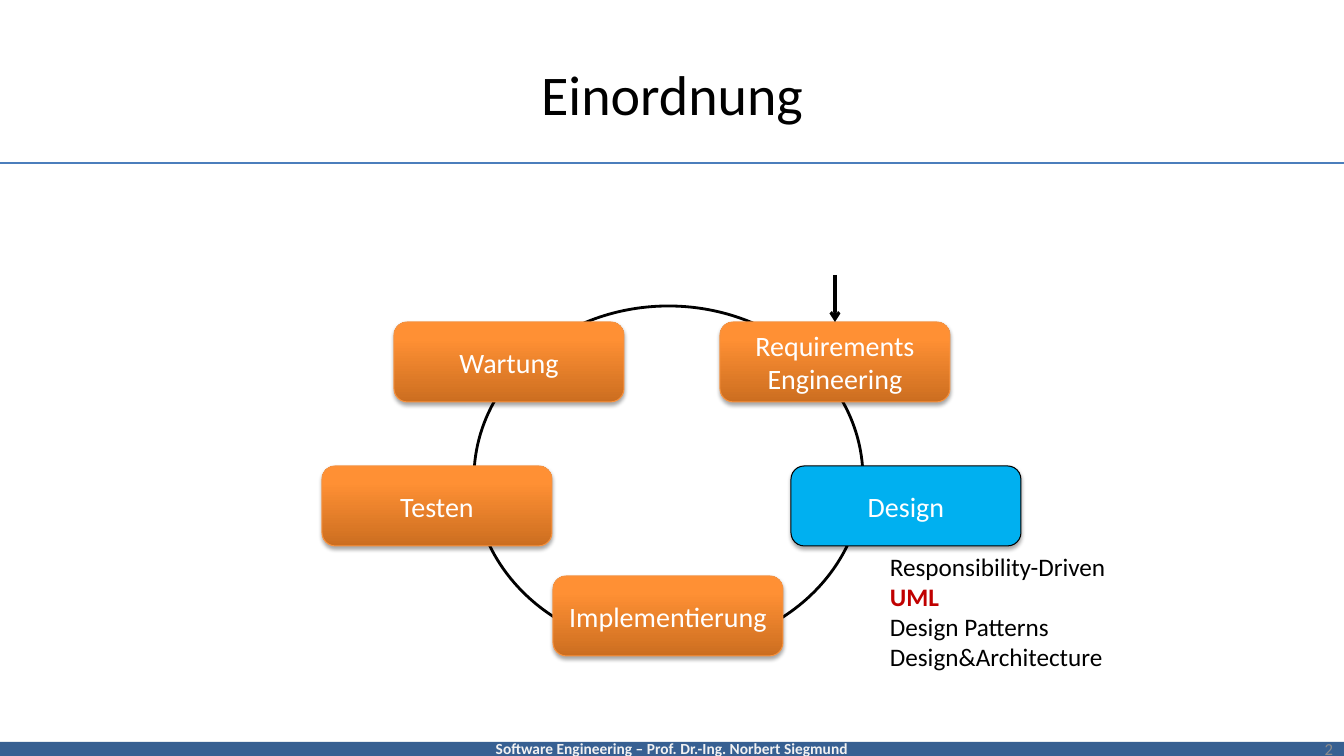
from dataclasses import dataclass

from lxml import etree
from pptx import Presentation
from pptx import util as u
from pptx.dml.color import RGBColor
from pptx.enum import shapes, text
from pptx.oxml import parse_xml
from pptx.oxml.ns import nsdecls, qn


@dataclass(frozen=True)
class Theme:
    font: str = "Calibri"
    black: str = "000000"
    white: str = "FFFFFF"
    bar: str = "376092"
    bar_text: str = "F2F2F2"
    rule: str = "4B7EBC"
    number: str = "8C8C8C"
    orange_edge: str = "F69240"
    orange: tuple = ((0, "CC6E20"), (80, "FF9034"), (100, "FF9136"))
    active: str = "00B0F0"
    accent: str = "C00000"
    title_size: int = 40
    phase_size: int = 20
    topic_size: int = 18
    number_size: int = 12
    bar_size: int = 11


T = Theme()
PX = u.Inches(1) / 100.8
ALIGN = text.PP_ALIGN


def px(*lengths):
    return [round(n * PX) for n in lengths]


def write(tf, content, size, color=T.black, bold=False, align=ALIGN.LEFT,
          anchor=text.MSO_ANCHOR.MIDDLE, wrap=True, spacing=None, highlight=None):
    """Fill a text frame, one paragraph a line; the highlighted line is bold and accented."""
    tf.word_wrap = wrap
    tf.vertical_anchor = anchor
    for i, line in enumerate(content.split("\n")):
        p = tf.paragraphs[0] if i == 0 else tf.add_paragraph()
        p.alignment = align
        if spacing:
            p.line_spacing = spacing
        r = p.add_run()
        r.text = line
        r.font.name = T.font
        r.font.size = u.Pt(size)
        r.font.bold = bold or line == highlight
        r.font.color.rgb = RGBColor.from_string(T.accent if line == highlight else color)


prs = Presentation()
prs.slide_width, prs.slide_height = px(1344, 756)
s = prs.slides.add_slide(prs.slide_layouts[5])

# Title
title = s.shapes.title
title.left, title.top, title.width, title.height = px(67, 30, 1210, 126)
write(title.text_frame, "Einordnung", T.title_size, align=ALIGN.CENTER)

# Footer bar and slide number
bar = s.shapes.add_shape(shapes.MSO_SHAPE.RECTANGLE, *px(0, 742, 1344, 14))
bar.shadow.inherit = False
bar.fill.solid()
bar.fill.fore_color.rgb = RGBColor.from_string(T.bar)
bar.line.fill.background()
tf = bar.text_frame
tf.margin_top = tf.margin_bottom = 0
write(tf, "Software Engineering – Prof. Dr.-Ing. Norbert Siegmund", T.bar_size,
      color=T.bar_text, bold=True, align=ALIGN.CENTER, spacing=0.93)

number = s.shapes.add_textbox(*px(1029, 729, 314, 40))
write(number.text_frame, "2", T.number_size, color=T.number, align=ALIGN.RIGHT)

# Life cycle ring
ring = s.shapes.add_shape(shapes.MSO_SHAPE.OVAL, *px(474, 306, 389, 344))
ring.shadow.inherit = False
ring.fill.background()
ring.line.color.rgb = RGBColor.from_string(T.black)
ring.line.width = u.Pt(2)

# Phases on the ring
PHASE_W, PHASE_H = 230, 80
PHASES = [
    ("Requirements Engineering", 720, 322),
    ("Design", 791, 466),
    ("Implementierung", 553, 576),
    ("Testen", 322, 466),
    ("Wartung", 394, 322),
]
boxes = {}
for name, x, y in PHASES:
    sp = s.shapes.add_shape(shapes.MSO_SHAPE.ROUNDED_RECTANGLE, *px(x, y, PHASE_W, PHASE_H))
    active = name == "Design"
    if active:
        sp.fill.solid()
        sp.fill.fore_color.rgb = RGBColor.from_string(T.active)
    else:
        sp.fill.gradient()
        sp.fill.gradient_angle = 90
        stops = sp.element.spPr.find(".//" + qn("a:gsLst"))
        stops.clear()
        for pos, color in T.orange:
            gs = etree.SubElement(stops, qn("a:gs"), pos=str(pos * 1000))
            etree.SubElement(gs, qn("a:srgbClr"), val=color)
    sp.line.color.rgb = RGBColor.from_string(T.black if active else T.orange_edge)
    sp.line.width = u.Pt(0.75)
    sp.shadow.inherit = False
    sp.element.spPr.find(qn("a:effectLst")).append(parse_xml(
        f'<a:outerShdw {nsdecls("a")} blurRad="{u.Pt(3.1)}" dist="{u.Pt(1.8)}" '
        f'dir="5400000" rotWithShape="0"><a:srgbClr val="{T.black}">'
        '<a:alpha val="35000"/></a:srgbClr></a:outerShdw>'))
    write(sp.text_frame, name, T.phase_size, color=T.white, align=ALIGN.CENTER)
    boxes[name] = sp

# Title rule and entry arrow
LINES = [
    ((0, 163, 1350, 163), T.rule, 0.75, None),
    ((835, 275, 835, 322), T.black, 2.25, boxes["Requirements Engineering"]),
]
for ends, color, width, target in LINES:
    line = s.shapes.add_connector(shapes.MSO_CONNECTOR.STRAIGHT, *px(*ends))
    line.line.color.rgb = RGBColor.from_string(color)
    line.line.width = u.Pt(width)
    etree.SubElement(line.element.spPr, qn("a:effectLst"))
    if target is not None:
        line.end_connect(target, 0)
        etree.SubElement(line.line._get_or_add_ln(), qn("a:tailEnd"), type="arrow")

# Design topics
topics = s.shapes.add_textbox(*px(880, 546, 244, 132))
write(topics.text_frame,
      "Responsibility-Driven\nUML\nDesign Patterns\nDesign&Architecture",
      T.topic_size, anchor=text.MSO_ANCHOR.TOP, wrap=False, highlight="UML")
topics.text_frame.auto_size = text.MSO_AUTO_SIZE.SHAPE_TO_FIT_TEXT

prs.save("out.pptx")
